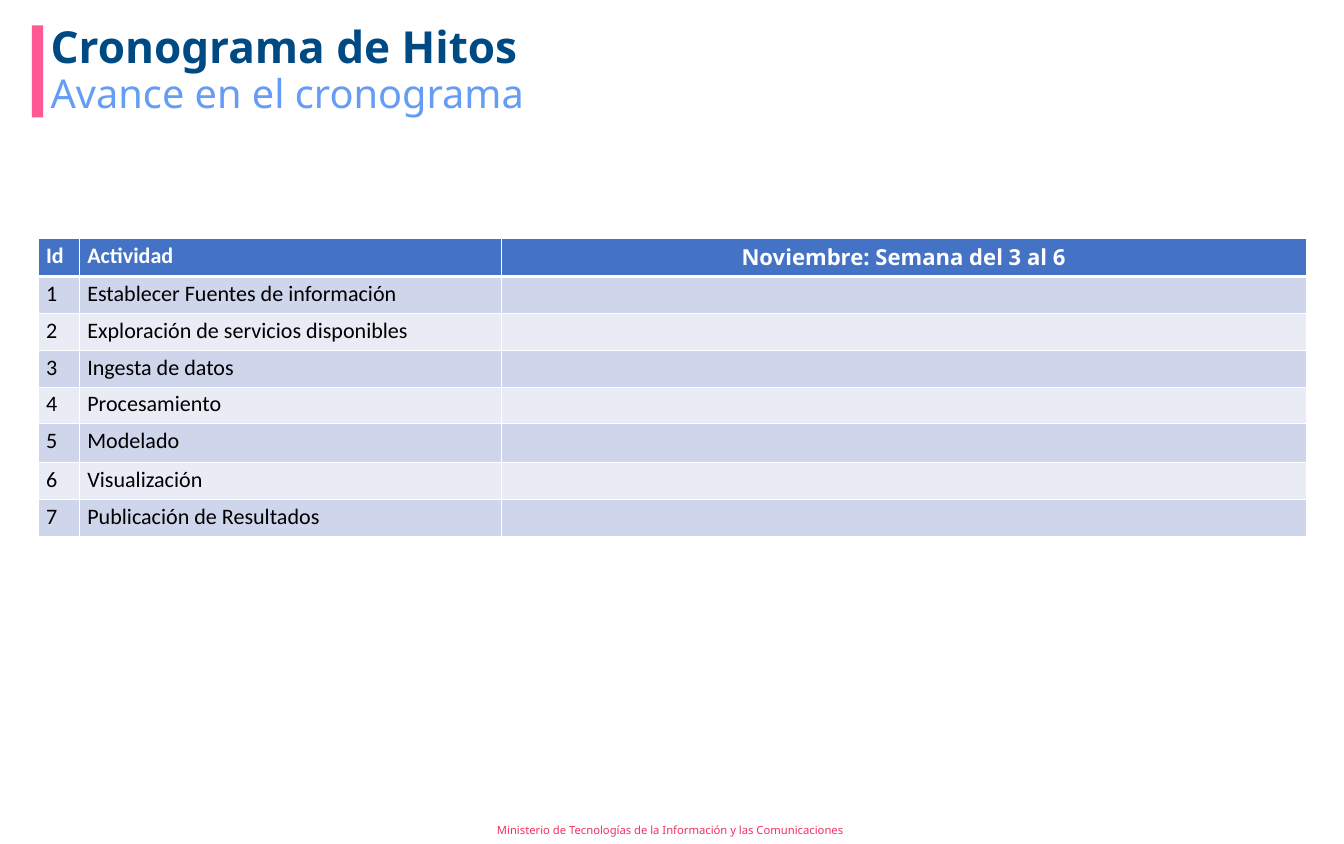
from lxml import etree
from pptx import Presentation, util as u
from pptx.dml.color import RGBColor
from pptx.enum import shapes, text
from pptx.oxml import ns

PINK = RGBColor(0xFF, 0x59, 0x93)
ROSE = RGBColor(0xF4, 0x2F, 0x63)
NAVY = RGBColor(0x00, 0x4A, 0x84)
SKY = RGBColor(0x64, 0x9C, 0xF6)
BLUE = RGBColor(0x44, 0x72, 0xC4)
BANDS = RGBColor(0xE9, 0xEB, 0xF5), RGBColor(0xCF, 0xD5, 0xEA)
WHITE = RGBColor(0xFF, 0xFF, 0xFF)
BLACK = RGBColor(0x00, 0x00, 0x00)
SANS, PLAIN = "Noto Sans", "Calibri"

TASKS = [
    "Establecer Fuentes de información",
    "Exploración de servicios disponibles",
    "Ingesta de datos",
    "Procesamiento",
    "Modelado",
    "Visualización",
    "Publicación de Resultados",
]


def apply(item, form):
    for name, value in form.items():
        setattr(item, name, value)


class Deck:
    def __init__(self, wide, high):
        self.prs = Presentation()
        apply(self.prs, {"slide_width": u.Cm(wide), "slide_height": u.Cm(high)})
        self.slide = self.prs.slides.add_slide(self.prs.slide_layouts[1])
        self.items = self.slide.shapes

    def label(self, frame, words, size, color, font=SANS, bold=False, **form):
        par = frame.paragraphs[0]
        apply(par, form)
        run = par.add_run()
        run.text = words
        apply(run.font, {"size": u.Pt(size), "name": font, "bold": bold})
        run.font.color.rgb = color

    def bar(self, *box):
        bar = self.items.add_shape(shapes.MSO_SHAPE.RECTANGLE, *map(u.Cm, box))
        bar.shadow.inherit = False
        bar.fill.solid()
        bar.fill.fore_color.rgb = PINK
        bar.line.fill.background()

    def head(self, index, box, words, size, color, bold=False):
        hold = self.slide.placeholders[index]
        sides = "left", "top", "width", "height"
        apply(hold, dict(zip(sides, map(u.Cm, box))))
        frame = hold.text_frame
        apply(frame, {
            "word_wrap": True, "auto_size": text.MSO_AUTO_SIZE.NONE,
            "vertical_anchor": text.MSO_ANCHOR.TOP,
            "margin_left": u.Cm(0.25), "margin_top": 0, "margin_bottom": 0,
        })
        self.label(frame, words, size, color, bold=bold, line_spacing=0.9,
                   space_before=u.Pt(0), alignment=text.PP_ALIGN.LEFT)
        # No bullet, no hanging indent
        props = frame.paragraphs[0]._p.get_or_add_pPr()
        props.set("marL", "0")
        props.set("indent", "0")
        etree.SubElement(props, ns.qn("a:buNone"))

    def note(self, box, words, size, color):
        frame = self.items.add_textbox(*map(u.Cm, box)).text_frame
        apply(frame, {"word_wrap": True,
                      "vertical_anchor": text.MSO_ANCHOR.MIDDLE})
        self.label(frame, words, size, color)

    def edge(self, cell, base):
        props = cell._tc.get_or_add_tcPr()
        for spot, side in enumerate("LRTB"):
            wide = base if side == "B" else 1
            line = etree.Element(ns.qn(f"a:ln{side}"), w=str(u.Pt(wide)))
            fill = etree.SubElement(line, ns.qn("a:solidFill"))
            etree.SubElement(fill, ns.qn("a:srgbClr"), val=str(WHITE))
            props.insert(spot, line)

    def table(self, left, top, cols, highs, rows):
        box = map(u.Cm, (left, top, sum(cols), sum(highs)))
        grid = self.items.add_table(len(rows), len(cols), *box).table
        for col, wide in zip(grid.columns, cols):
            col.width = u.Cm(wide)
        for r, (row, high) in enumerate(zip(rows, highs)):
            grid.rows[r].height = u.Cm(high)
            for c, words in enumerate(row):
                cell = grid.cell(r, c)
                cell.fill.solid()
                cell.fill.fore_color.rgb = BANDS[r % 2] if r else BLUE
                self.edge(cell, 1 if r else 3)
                if words:
                    week = c == 2
                    side = text.PP_ALIGN.CENTER if week else text.PP_ALIGN.LEFT
                    self.label(cell.text_frame, words, 20,
                               BLACK if r else WHITE, SANS if week else PLAIN,
                               r == 0, alignment=side)


def main():
    deck = Deck(43, 27)

    # Heading
    deck.bar(1.02, 0.81, 0.36, 2.95)
    deck.head(0, (1.37, 0.81, 40.61, 1.4), "Cronograma de Hitos", 40, NAVY, True)
    deck.head(1, (1.37, 2.36, 33.22, 1.9), "Avance en el cronograma", 36, SKY)

    # Schedule
    rows = [("Id", "Actividad", "Noviembre: Semana del 3 al 6")]
    rows += [(str(n), task, "") for n, task in enumerate(TASKS, 1)]
    highs = [1.24 if row[1] == "Modelado" else 1.18 for row in rows]
    deck.table(1.22, 7.62, (1.32, 13.49, 25.76), highs, rows)

    # Footer
    deck.note((15.65, 26.11, 11.68, 0.89),
              "Ministerio de Tecnologías de la Información y las Comunicaciones",
              10.2, ROSE)

    deck.prs.save("out.pptx")


if __name__ == "__main__":
    main()
